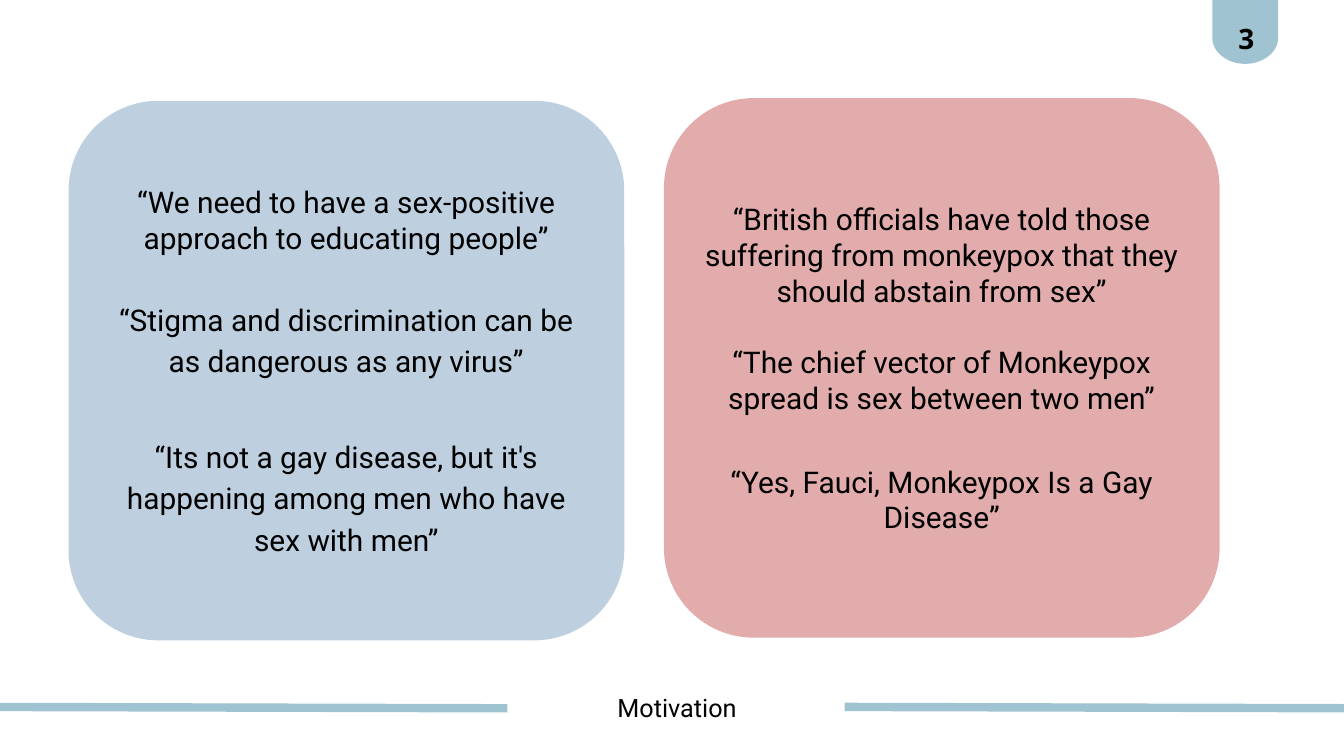
from math import cos, pi, sin
from lxml import etree
from pptx import Presentation
from pptx.dml.color import RGBColor as RGB
from pptx.enum.shapes import MSO_CONNECTOR as Conn, MSO_SHAPE as Shape
from pptx.enum.text import MSO_ANCHOR as Anchor, PP_ALIGN as Align
from pptx.oxml.ns import qn
from pptx.util import Inches, Pt

HUES = {"blue": "3B719F", "red": "A90505", "teal": "9FC3D0", "ink": "000000"}


def write(frame, text, first=True, size=32, font="Roboto", bold=False,
          line=None, before=0, after=0):
    """Put one centred paragraph into a text frame."""
    para = frame.paragraphs[0] if first else frame.add_paragraph()
    para.alignment = Align.CENTER
    para.line_spacing = line
    para.space_before, para.space_after = Pt(before), Pt(after)
    run = para.add_run()
    run.text = text
    run.font.size, run.font.name, run.font.bold = Pt(size), font, bold
    run.font.color.rgb = RGB.from_string(HUES["ink"])


def paint(shape, hue, alpha=None):
    """Fill a shape plainly, with optional opacity in percent."""
    shape.shadow.inherit = False
    shape.line.fill.background()
    shape.fill.solid()
    shape.fill.fore_color.rgb = RGB.from_string(HUES[hue])
    if alpha:
        color = shape._element.spPr.find(qn("a:solidFill"))[0]
        etree.SubElement(color, qn("a:alpha")).set("val", str(alpha * 1000))


deck = Presentation()
deck.slide_width, deck.slide_height = Inches(20), Inches(11.25)
slide = deck.slides.add_slide(deck.slide_layouts[6])
shapes = slide.shapes

# Quote cards: text, line spacing, space before and after
cards = [
    (1.02, 1.5, "blue", [
        ("“We need to have a sex-positive approach to educating people”", None, 0, 0),
        ("“Stigma and discrimination can be as dangerous as any virus”", 1.15, 43, 8),
        ("“Its not a gay disease, but it's happening among men who have sex with men”",
         1.15, 51, 8),
    ]),
    (9.88, 1.46, "red", [
        ("“British officials have told those suffering from monkeypox that they "
         "should abstain from sex”", None, 0, 0),
        ("“The chief vector of Monkeypox spread is sex between two men”", None, 38, 0),
        ("“Yes, Fauci, Monkeypox Is a Gay Disease”", None, 51, 0),
    ]),
]
for left, top, hue, quotes in cards:
    card = shapes.add_shape(Shape.ROUNDED_RECTANGLE, Inches(left), Inches(top),
                            Inches(8.27), Inches(8.03))
    paint(card, hue, alpha=33)
    frame = card.text_frame
    frame.word_wrap = True
    frame.vertical_anchor = Anchor.MIDDLE
    for i, (quote, line, before, after) in enumerate(quotes):
        write(frame, quote, first=i == 0, line=line, before=before, after=after)

# Footer rules
for left in (-0.22, 12.57):
    rule = shapes.add_connector(Conn.STRAIGHT, Inches(left), Inches(10.52),
                                Inches(left + 7.77), Inches(10.54))
    rule.line.width = Pt(9)
    rule.line.color.rgb = RGB.from_string(HUES["teal"])
    etree.SubElement(rule._element.spPr, qn("a:effectLst"))

# Page tab: straight sides and a half-ellipse at the foot
mid, half, side, drop = 18.53, 0.49, 0.56, 0.39
steps = 40
arc = [(mid + half * cos(pi * i / steps), side + drop * sin(pi * i / steps))
       for i in range(steps + 1)]
pen = shapes.build_freeform(Inches(mid - half), 0)
pen.add_line_segments([(Inches(x), Inches(y)) for x, y in [(mid + half, 0)] + arc])
paint(pen.convert_to_shape(), "teal")

# Footer title and page number
labels = [
    ("Motivation", (6.31, 10.23, 7.53, 0.51), dict(size=27, line=Pt(37.8))),
    ("3", (18.02, -0.26, 1.05, 0.93),
     dict(size=30, font="Open Sans", bold=True, line=Pt(78))),
]
for text, box, style in labels:
    frame = shapes.add_textbox(*map(Inches, box)).text_frame
    frame.word_wrap = True
    frame.margin_left = frame.margin_right = 0
    frame.margin_top = frame.margin_bottom = 0
    write(frame, text, **style)

deck.save("out.pptx")
